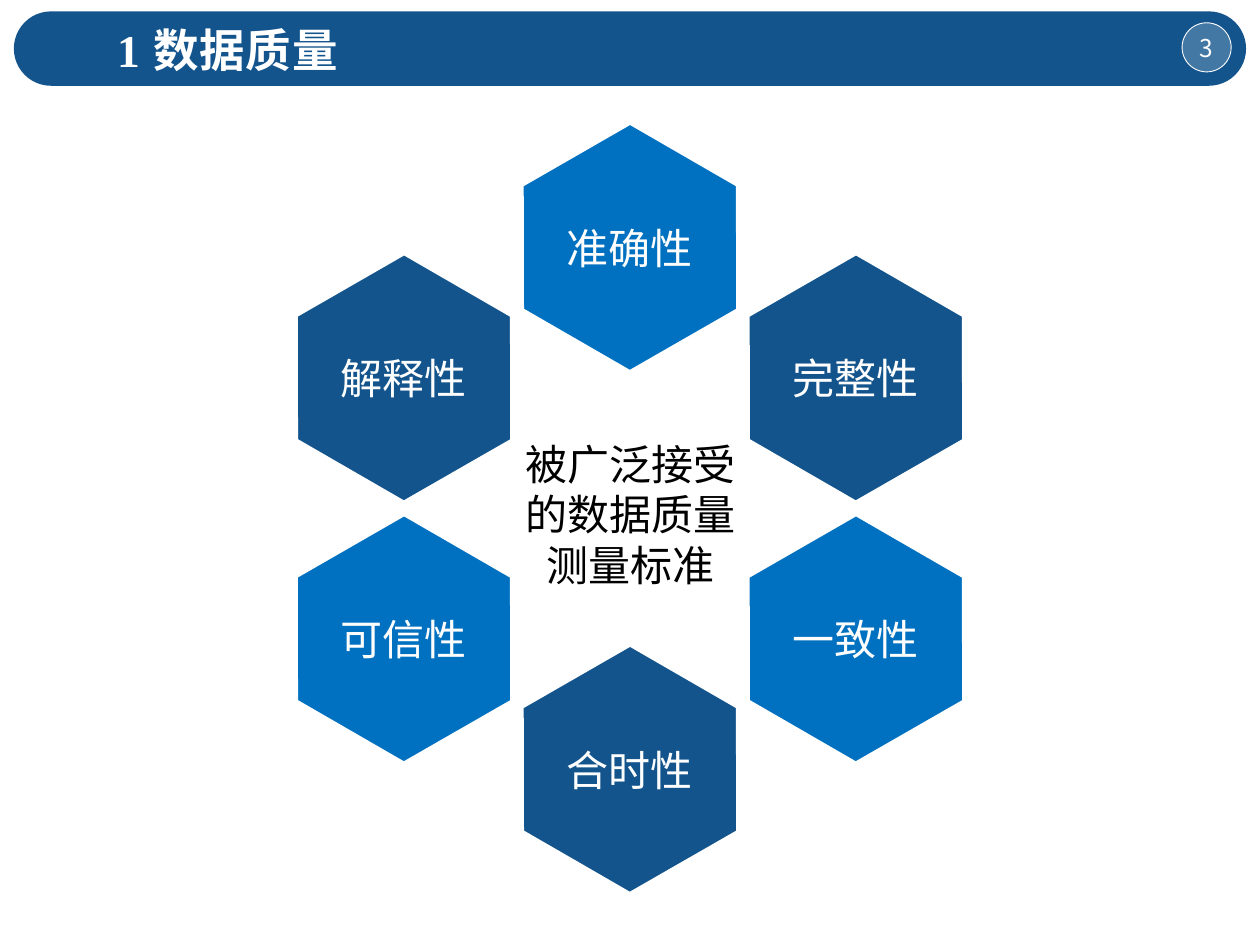
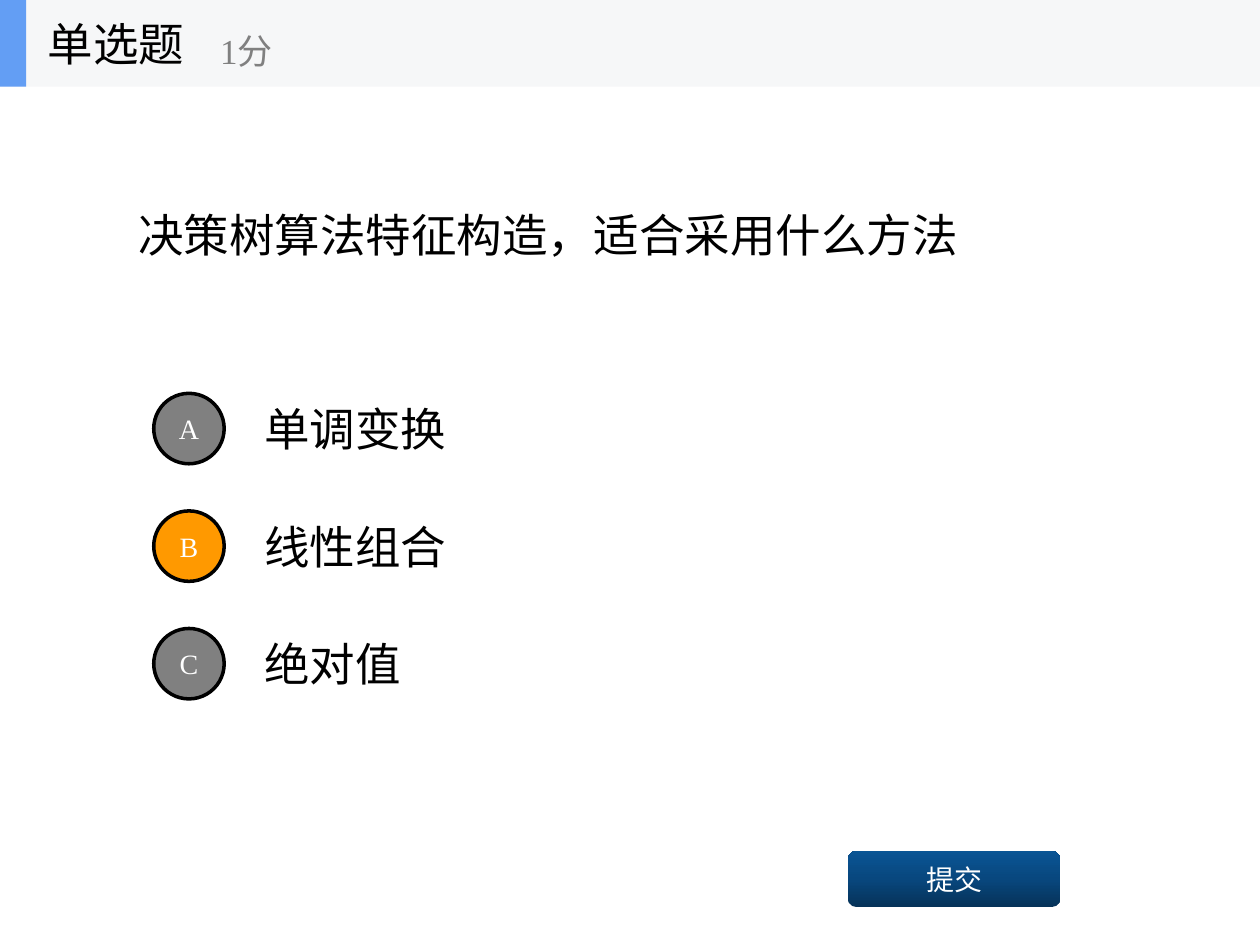
from copy import deepcopy
from dataclasses import dataclass
from math import cos, radians, sin

from lxml import etree
from pptx import Presentation
from pptx.dml.color import RGBColor
from pptx.enum.shapes import MSO_SHAPE
from pptx.enum.text import MSO_ANCHOR, MSO_AUTO_SIZE, PP_ALIGN
from pptx.oxml.ns import qn
from pptx.util import Cm, Pt

RECTANGLE = MSO_SHAPE.RECTANGLE
ROUNDED = MSO_SHAPE.ROUNDED_RECTANGLE
OVAL = MSO_SHAPE.OVAL
HEXAGON = MSO_SHAPE.HEXAGON
LEFT, CENTER = PP_ALIGN.LEFT, PP_ALIGN.CENTER
MIDDLE = MSO_ANCHOR.MIDDLE
TITLE_ONLY = 5


@dataclass(frozen=True)
class Theme:
    serif: str = "Times New Roman"
    sans: str = "Noto Sans CJK SC"
    navy: str = "13548C"
    blue: str = "0070C0"
    white: str = "FFFFFF"
    label: str = "FEFEFE"
    black: str = "000000"
    gray: str = "808080"
    orange: str = "FF9900"
    header: str = "F6F7F8"
    marker: str = "639EF4"
    button: tuple = ((0, "063258"), (0.5, "08477E"), (1, "0A5595"))
    heading_size: int = 26
    body_size: int = 24
    score_size: int = 20
    control_size: int = 16
    number_size: int = 14


THEME = Theme()

# Content
QUALITY = {
    "title": "1 数据质量",
    "number": "3",
    "center": ["被广泛接受", "的数据质量", "测量标准"],
    # clockwise from the top
    "criteria": ["准确性", "完整性", "一致性", "合时性", "可信性", "解释性"],
}
QUIZ = {
    "title": "单选题",
    "score": "1分",
    "question": "决策树算法特征构造，适合采用什么方法",
    "options": [("A", "单调变换"), ("B", "线性组合"), ("C", "绝对值")],
    "answer": "B",
    "submit": "提交",
}

# Layout in centimetres: left, top, width, height
BAND = (0.28, 0.23, 24.84, 1.5)
BADGE = (23.83, 0.46, 0.99, 0.99)
QUALITY_TITLE = (2.11, 0.3, 20.52, 1.37)
CENTER_TEXT = (9.3, 8.48, 6.83, 3.76)
RING_CENTER = (12.7, 10.25)
RING_RADIUS = 5.26
HEXAGON_SIZE = (5.26, 4.55)
LABEL_SIZE = (3.91, 1.35)

HEADER = (0, 0, 25.4, 1.75)
MARKER = (0, 0, 0.53, 1.75)
QUIZ_TITLE = (0.71, 0, 5.28, 1.75)
SCORE = (4.19, 0.3, 6.35, 1.42)
QUESTION = (2.54, 1.75, 17.78, 5.94)
SUBMIT = (17.09, 17.15, 4.29, 1.14)
FIRST_OPTION_Y, OPTION_STEP = 8.64, 2.37
CIRCLE_X, CIRCLE_SIZE = 3.81, (1.42, 1.42)
OPTION_X, OPTION_SIZE = 13.97, (17.78, 1.78)


def lengths(box):
    return [Cm(value) for value in box]


def centered(x, y, size):
    """Return the box of the given size around a centre point."""
    width, height = size
    return x - width / 2, y - height / 2, width, height


def write(shape, lines, size, color, font=THEME.serif, align=LEFT,
          bold=False, side_inset=0.25, spacing=None):
    frame = shape.text_frame
    frame.word_wrap = True
    frame.auto_size = MSO_AUTO_SIZE.NONE
    frame.vertical_anchor = MIDDLE
    frame.margin_left = frame.margin_right = Cm(side_inset)
    frame.margin_top = frame.margin_bottom = 0
    for index, line in enumerate(lines):
        paragraph = frame.add_paragraph() if index else frame.paragraphs[0]
        paragraph.alignment = align
        paragraph.space_before = Pt(0)
        run = paragraph.add_run()
        run.text = line
        run.font.name = font
        run.font.size = Pt(size)
        run.font.bold = bold
        run.font.color.rgb = RGBColor.from_string(color)
        properties = run.font._element
        east_asian = etree.Element(qn("a:ea"), typeface=THEME.sans)
        properties.find(qn("a:latin")).addnext(east_asian)
        if spacing:
            properties.set("spc", str(int(spacing * 100)))


def add_text(slide, box, lines, size, color, **style):
    shape = slide.shapes.add_textbox(*lengths(box))
    write(shape, lines, size, color, **style)


def add_block(slide, kind, box, fill=None, line=None, line_width=0):
    shape = slide.shapes.add_shape(kind, *lengths(box))
    shape.shadow.inherit = False
    if fill:
        shape.fill.solid()
        shape.fill.fore_color.rgb = RGBColor.from_string(fill)
    if line:
        shape.line.color.rgb = RGBColor.from_string(line)
        shape.line.width = Pt(line_width)
    else:
        shape.line.fill.background()
    return shape


def set_title(slide, text, box, color, **style):
    """Place the title placeholder above the shapes drawn so far."""
    title = slide.shapes.title
    slide.shapes._spTree.append(title._element)
    title.left, title.top, title.width, title.height = lengths(box)
    write(title, [text], THEME.heading_size, color, **style)


def set_opacity(shape, percent):
    color = shape._element.spPr.find(qn("a:solidFill"))[0]
    etree.SubElement(color, qn("a:alpha"), val=str(percent * 1000))


def fill_gradient(shape, stops):
    """Fill from the bottom up with three colour stops."""
    shape.fill.gradient()
    shape.fill.gradient_angle = 90
    stop_list = shape._element.spPr.find(qn("a:gradFill")).find(qn("a:gsLst"))
    stop_list.insert(1, deepcopy(stop_list[0]))
    for stop, (position, color) in zip(shape.fill.gradient_stops, stops):
        stop.position = position
        stop.color.rgb = RGBColor.from_string(color)


def build_quality(slide):
    band = add_block(slide, ROUNDED, BAND, THEME.navy)
    band.adjustments[0] = 0.5
    badge = add_block(slide, OVAL, BADGE, THEME.white, THEME.white, 0.5)
    set_opacity(badge, 21)
    write(badge, [QUALITY["number"]], THEME.number_size, THEME.white,
          font=THEME.sans, align=CENTER, side_inset=0)
    set_title(slide, QUALITY["title"], QUALITY_TITLE, THEME.white,
              bold=True, spacing=0.5)

    criteria = QUALITY["criteria"]
    for index, criterion in enumerate(criteria):
        angle = radians(index * 360 / len(criteria))
        x = RING_CENTER[0] + RING_RADIUS * sin(angle)
        y = RING_CENTER[1] - RING_RADIUS * cos(angle)
        color = THEME.navy if index % 2 else THEME.blue
        hexagon = add_block(slide, HEXAGON, centered(x, y, HEXAGON_SIZE),
                            color, THEME.white, 7.75)
        hexagon.adjustments[0] = 0.29
        hexagon.rotation = 30
        add_text(slide, centered(x, y, LABEL_SIZE), [criterion],
                 THEME.body_size, THEME.label, font=THEME.sans, align=CENTER)
    add_text(slide, CENTER_TEXT, QUALITY["center"], THEME.body_size,
             THEME.black, align=CENTER)


def build_quiz(slide):
    add_block(slide, RECTANGLE, HEADER, THEME.header)
    add_block(slide, RECTANGLE, MARKER, THEME.marker)
    set_title(slide, QUIZ["title"], QUIZ_TITLE, THEME.black)
    add_text(slide, SCORE, [QUIZ["score"]], THEME.score_size, THEME.gray)
    add_text(slide, QUESTION, [QUIZ["question"]], THEME.heading_size,
             THEME.black)

    for index, (letter, option) in enumerate(QUIZ["options"]):
        y = FIRST_OPTION_Y + index * OPTION_STEP
        color = THEME.orange if letter == QUIZ["answer"] else THEME.gray
        circle = add_block(slide, OVAL, centered(CIRCLE_X, y, CIRCLE_SIZE),
                           color, THEME.black, 2)
        write(circle, [letter], THEME.control_size, THEME.white,
              align=CENTER, side_inset=0)
        add_text(slide, centered(OPTION_X, y, OPTION_SIZE), [option],
                 THEME.heading_size, THEME.black)

    button = add_block(slide, ROUNDED, SUBMIT)
    fill_gradient(button, THEME.button)
    write(button, [QUIZ["submit"]], THEME.control_size, THEME.white,
          align=CENTER)


def main():
    presentation = Presentation()
    presentation.slide_width = Cm(25.4)
    presentation.slide_height = Cm(19.05)
    layout = presentation.slide_layouts[TITLE_ONLY]
    for build in (build_quality, build_quiz):
        build(presentation.slides.add_slide(layout))
    presentation.save("out.pptx")


if __name__ == "__main__":
    main()
